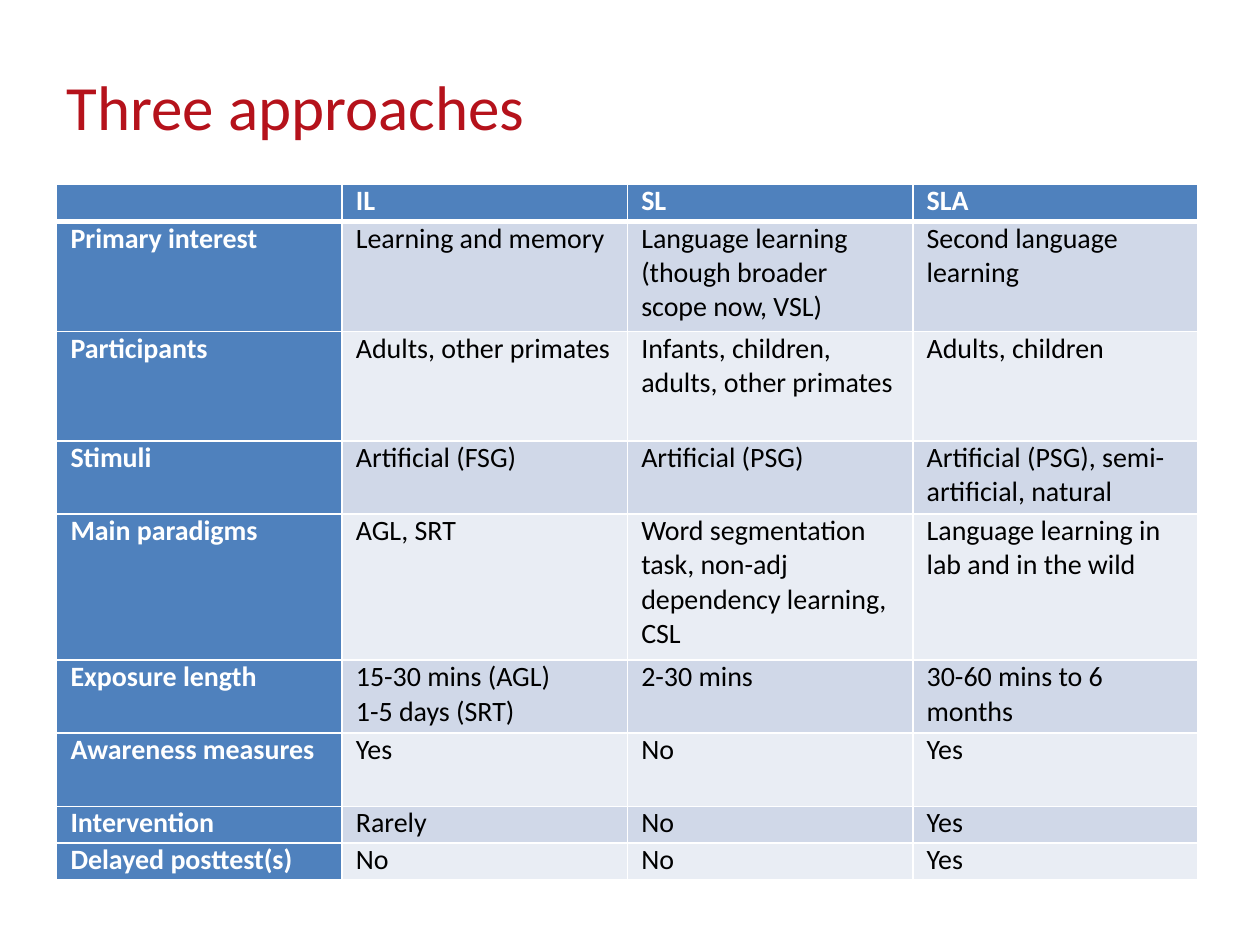
from dataclasses import dataclass

from lxml.etree import SubElement
from pptx import Presentation
from pptx.dml.color import RGBColor as Color
from pptx.enum.text import MSO_ANCHOR as Anchor
from pptx.oxml.ns import qn
from pptx.util import Inches, Pt


@dataclass(frozen=True)
class Theme:
    font: str = "Calibri"
    title_size: int = 36
    title_leading: int = 35
    cell_size: int = 16
    title: str = "B5121B"
    head: str = "4F81BD"
    bands: tuple = ("D0D8E8", "E9EDF4")
    text: str = "000000"
    light: str = "FFFFFF"
    rule: int = 1
    head_rule: int = 3


THEME = Theme()
WIDTH, HEIGHT = Inches(10), Inches(7.5)
LINE_HEIGHT = Inches(0.29)
COLUMN_WIDTH = Inches(2.265)

ROWS = [
    (1, "", "IL", "SL", "SLA"),
    (3, "Primary interest", "Learning and memory",
     "Language learning (though broader scope now, VSL)",
     "Second language learning"),
    (3, "Participants", "Adults, other primates",
     "Infants, children, adults, other primates", "Adults, children"),
    (2, "Stimuli", "Artificial (FSG)", "Artificial (PSG)",
     "Artificial (PSG), semi-artificial, natural"),
    (4, "Main paradigms", "AGL, SRT",
     "Word segmentation task, non-adj dependency learning, CSL",
     "Language learning in lab and in the wild"),
    (2, "Exposure length", "15-30 mins (AGL)\n1-5 days (SRT)",
     "2-30 mins", "30-60 mins to 6 months"),
    (2, "Awareness measures", "Yes", "No", "Yes"),
    (1, "Intervention", "Rarely", "No", "Yes"),
    (1, "Delayed posttest(s)", "No", "No", "Yes"),
]


def write(frame, text, *, size, color, bold=False, leading=None):
    frame.word_wrap = True
    for index, line in enumerate(text.split("\n")):
        para = frame.add_paragraph() if index else frame.paragraphs[0]
        if leading:
            para.line_spacing = Pt(leading)
        span = para.add_run()
        span.text = line
        span.font.name = THEME.font
        span.font.size = Pt(size)
        span.font.bold = bold
        span.font.color.rgb = Color.from_string(color)


def add_title(page, text):
    box = page.shapes.add_textbox(
        int(WIDTH * 0.043), int(HEIGHT * 0.08), int(WIDTH * 0.74), int(HEIGHT * 0.17))
    box.text_frame.vertical_anchor = Anchor.TOP
    write(box.text_frame, text, size=THEME.title_size, color=THEME.title,
          leading=THEME.title_leading)


def add_borders(cell, **widths):
    properties = cell._tc.get_or_add_tcPr()
    for side in "LRTB":
        border = SubElement(properties, qn(f"a:ln{side}"),
                            w=str(Pt(widths.get(side, THEME.rule))))
        fill = SubElement(border, qn("a:solidFill"))
        SubElement(fill, qn("a:srgbClr"), val=THEME.light)


def format_cell(cell, text, row, column):
    is_head = row == 0 or column == 0
    cell.margin_left = cell.margin_right = Inches(0.11)
    cell.margin_top = cell.margin_bottom = 0
    cell.vertical_anchor = Anchor.TOP
    heavy_sides = {0: {"B": THEME.head_rule}, 1: {"T": THEME.head_rule}}
    add_borders(cell, **heavy_sides.get(row, {}))
    cell.fill.solid()
    shade = THEME.head if is_head else THEME.bands[(row - 1) % 2]
    cell.fill.fore_color.rgb = Color.from_string(shade)
    write(cell.text_frame, text, size=THEME.cell_size, bold=is_head,
          color=THEME.light if is_head else THEME.text)


def add_comparison(page, rows):
    columns = len(rows[0]) - 1
    total_lines = sum(lines for lines, *_ in rows)
    table = page.shapes.add_table(
        len(rows), columns, int(WIDTH * 0.045), Inches(1.46),
        COLUMN_WIDTH * columns, LINE_HEIGHT * total_lines).table
    for column in table.columns:
        column.width = COLUMN_WIDTH
    for row, (lines, *texts) in enumerate(rows):
        table.rows[row].height = LINE_HEIGHT * lines
        for column, text in enumerate(texts):
            format_cell(table.cell(row, column), text, row, column)


def main():
    deck = Presentation()
    deck.slide_width, deck.slide_height = WIDTH, HEIGHT
    page = deck.slides.add_slide(deck.slide_layouts[6])
    add_title(page, "Three approaches")
    add_comparison(page, ROWS)
    deck.save("out.pptx")


if __name__ == "__main__":
    main()
